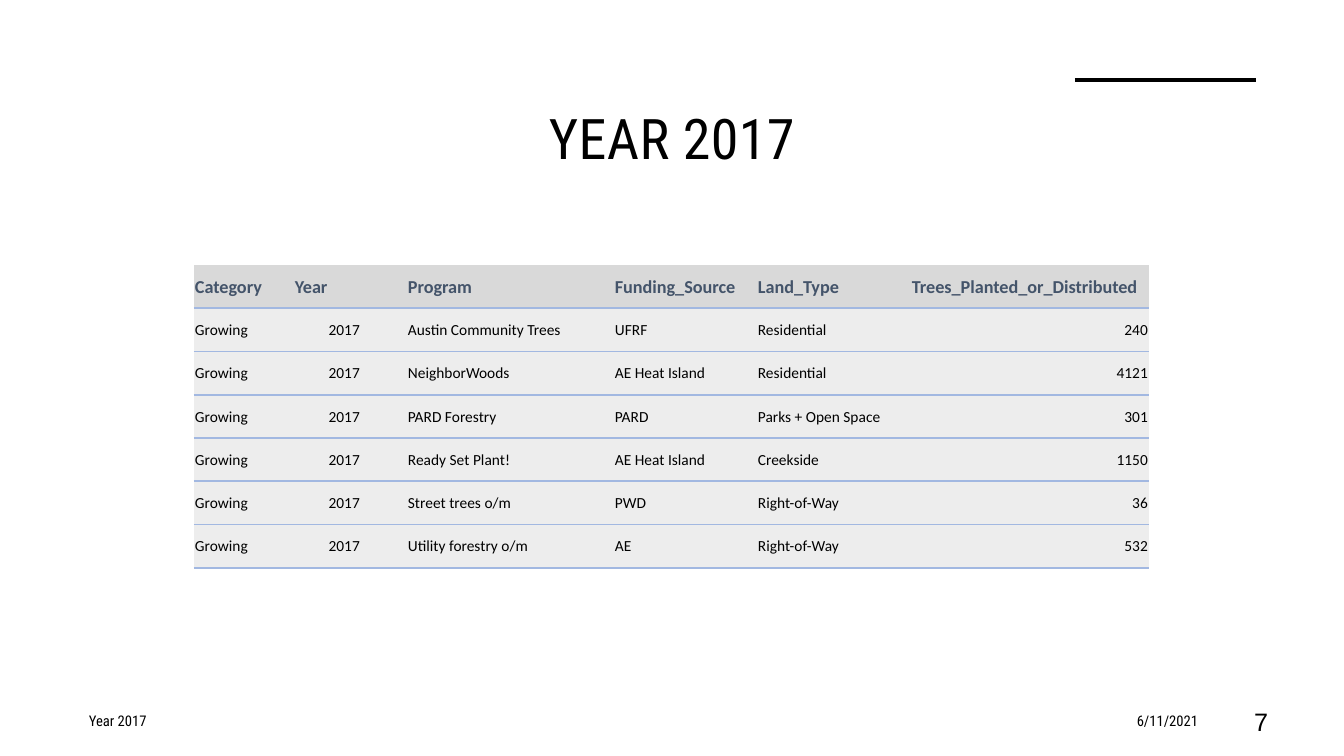
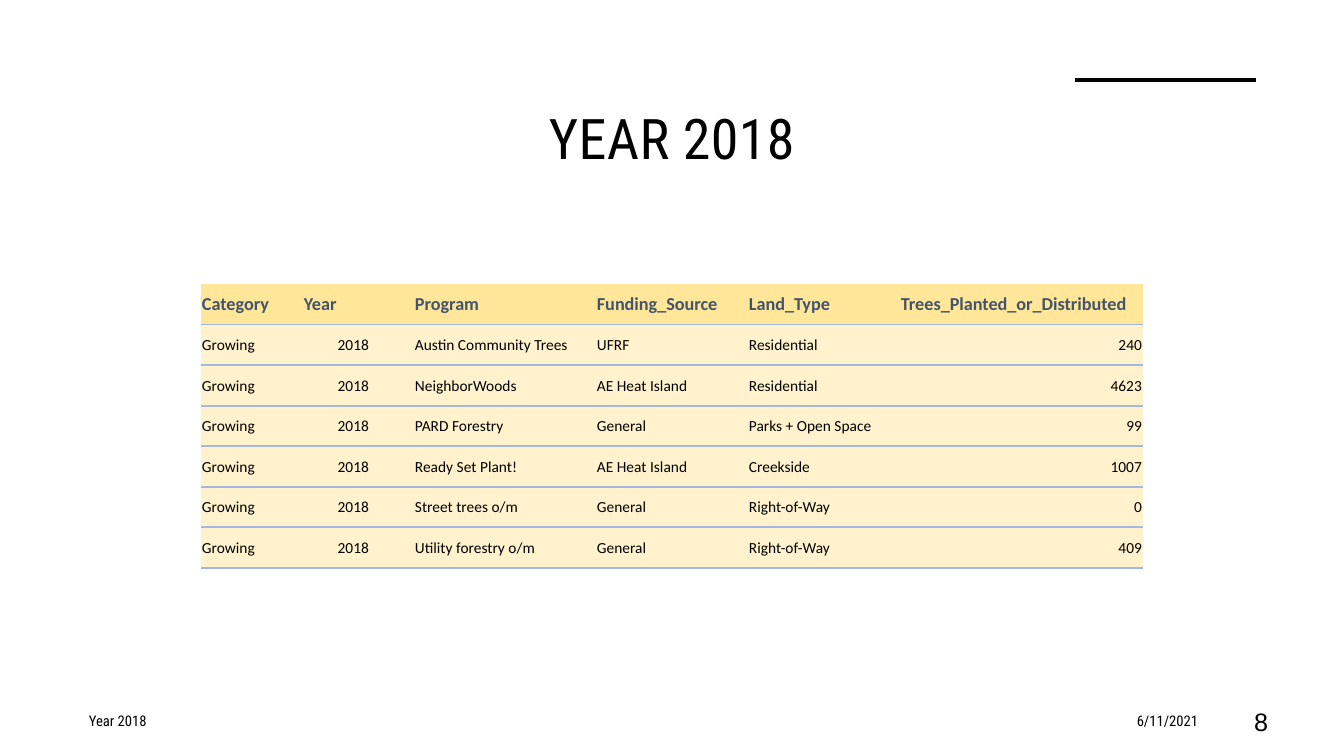
from dataclasses import dataclass

from lxml import etree
from pptx import Presentation
from pptx.dml.color import RGBColor
from pptx.enum.shapes import MSO_CONNECTOR
from pptx.enum.text import MSO_ANCHOR, MSO_AUTO_SIZE, PP_ALIGN
from pptx.oxml.ns import qn
from pptx.util import Pt

PX = 914400 / 100.8
LEFT, CENTER, RIGHT = PP_ALIGN.LEFT, PP_ALIGN.CENTER, PP_ALIGN.RIGHT
TOP, MIDDLE = MSO_ANCHOR.TOP, MSO_ANCHOR.MIDDLE
NO_FIT = MSO_AUTO_SIZE.NONE
STRAIGHT = MSO_CONNECTOR.STRAIGHT
PLAIN_TABLE = "{2D5ABB26-0587-4C30-8999-92F81FD0307C}"


@dataclass(frozen=True)
class Theme:
    ink: str = "000000"
    paper: str = "FFFFFF"
    head_ink: str = "44546A"
    rule: str = "A2B8E1"
    rule_width: float = 1.5
    accent_width: float = 3.5
    grey: tuple = ("D9D9D9", "EDEDED")
    gold: tuple = ("FFE699", "FFF2CC")

    def font(self, name, size, color=None, bold=False):
        return {"name": name, "size": Pt(size), "bold": bold,
                "color": color or self.ink}


T = Theme()
TITLE = T.font("Roboto Condensed", 40)
FOOTER = T.font("Roboto Condensed", 10.5)
NUMBER = T.font("Arial", 18)
HEAD = T.font("Calibri", 13, T.head_ink, True)
BODY = T.font("Calibri", 11)

HEADERS = ("Category", "Year", "", "Program", "Funding_Source", "Land_Type",
           "Trees_Planted_or_Distributed")
NUMERIC = ("Year", "Trees_Planted_or_Distributed")
PROGRAMS = (
    ("Austin Community Trees", "Residential"),
    ("NeighborWoods", "Residential"),
    ("PARD Forestry", "Parks + Open Space"),
    ("Ready Set Plant!", "Creekside"),
    ("Street trees o/m", "Right-of-Way"),
    ("Utility forestry o/m", "Right-of-Way"),
)
YEARS = (
    {"year": 2017, "number": 7, "fills": T.grey, "origin": (194, 265),
     "cols": (100, 67, 46, 207, 143, 154, 238), "height": 303,
     "funding": ("UFRF", "AE Heat Island", "PARD", "AE Heat Island", "PWD", "AE"),
     "trees": (240, 4121, 301, 1150, 36, 532)},
    {"year": 2018, "number": 8, "fills": T.gold, "origin": (201, 284),
     "cols": (102, 67, 44, 182, 152, 152, 243), "height": 284,
     "funding": ("UFRF", "AE Heat Island", "General", "AE Heat Island",
                 "General", "General"),
     "trees": (240, 4623, 99, 1007, 0, 409)},
)


def px(n):
    return round(n * PX)


def rgb(value):
    return RGBColor.from_string(value)


def set_all(obj, values):
    for key, value in values.items():
        setattr(obj, key, value)


def write(tf, text, fmt, align=LEFT):
    p = tf.paragraphs[0]
    p.alignment = align
    r = p.add_run()
    r.text = str(text)
    set_all(r.font, {k: v for k, v in fmt.items() if k != "color"})
    r.font.color.rgb = rgb(fmt["color"])
    return r


def add_title(s, box, text):
    sp = s.shapes.title
    set_all(sp, dict(zip(("left", "top", "width", "height"), map(px, box))))
    set_all(sp.text_frame, {"auto_size": NO_FIT, "word_wrap": True,
                            "vertical_anchor": TOP})
    r = write(sp.text_frame, text, TITLE, CENTER)
    r.font._element.set("spc", "30")


def add_accent(s, x, y, width):
    line = s.shapes.add_connector(STRAIGHT, px(x), px(y), px(x + width), px(y))
    line.line.color.rgb = rgb(T.ink)
    line.line.width = Pt(T.accent_width)
    etree.SubElement(line._element.spPr, qn("a:effectLst"))


def add_footer(s, top, height, parts):
    for x, width, text, fmt, align in parts:
        tf = s.shapes.add_textbox(px(x), px(top), px(width), px(height)).text_frame
        set_all(tf, {"word_wrap": True, "vertical_anchor": MIDDLE})
        write(tf, text, fmt, align)


def underline(cell):
    tc_pr = cell._tc.get_or_add_tcPr()
    ln = etree.Element(qn("a:lnB"), w=str(Pt(T.rule_width)))
    fill = etree.SubElement(ln, qn("a:solidFill"))
    etree.SubElement(fill, qn("a:srgbClr"), val=T.rule)
    tc_pr.insert(0, ln)


def add_tree_table(s, origin, cols, height, fills, rows):
    x, y = origin
    frame = s.shapes.add_table(len(rows), len(cols), px(x), px(y),
                               px(sum(cols)), px(height))
    table = frame.table
    set_all(table, {"first_row": False, "horz_banding": False})
    table._tbl.tblPr.find(qn("a:tableStyleId")).text = PLAIN_TABLE
    for column, width in zip(table.columns, cols):
        column.width = px(width)
    for i, values in enumerate(rows):
        table.rows[i].height = px(height / len(rows))
        fmt, fill = (BODY, fills[1]) if i else (HEAD, fills[0])
        for j, value in enumerate(values):
            cell = table.cell(i, j)
            set_all(cell, {"margin_left": px(1), "margin_right": px(1),
                           "margin_top": px(1), "margin_bottom": 0,
                           "vertical_anchor": MIDDLE})
            cell.fill.solid()
            cell.fill.fore_color.rgb = rgb(fill)
            underline(cell)
            if value != "":
                align = RIGHT if i and HEADERS[j] in NUMERIC else LEFT
                write(cell.text_frame, value, fmt, align)


def add_year_slide(prs, year, number, fills, origin, cols, height, funding, trees):
    s = prs.slides.add_slide(prs.slide_layouts[5])
    s.background.fill.solid()
    s.background.fill.fore_color.rgb = rgb(T.paper)
    add_accent(s, 1075, 80, 181)
    add_title(s, (77, 98, 1190, 116), f"YEAR {year}")
    add_footer(s, 701, 40, (
        (79, 500, f"Year {year}", FOOTER, LEFT),
        (922, 286, "6/11/2021", FOOTER, RIGHT),
        (1204, 74, number, NUMBER, RIGHT),
    ))
    rows = [HEADERS] + [
        ("Growing", year, "", program, source, land, count)
        for (program, land), source, count in zip(PROGRAMS, funding, trees)]
    add_tree_table(s, origin, cols, height, fills, rows)


def main():
    prs = Presentation()
    set_all(prs, {"slide_width": px(1344), "slide_height": px(756)})
    for data in YEARS:
        add_year_slide(prs, **data)
    prs.save("out.pptx")


if __name__ == "__main__":
    main()
